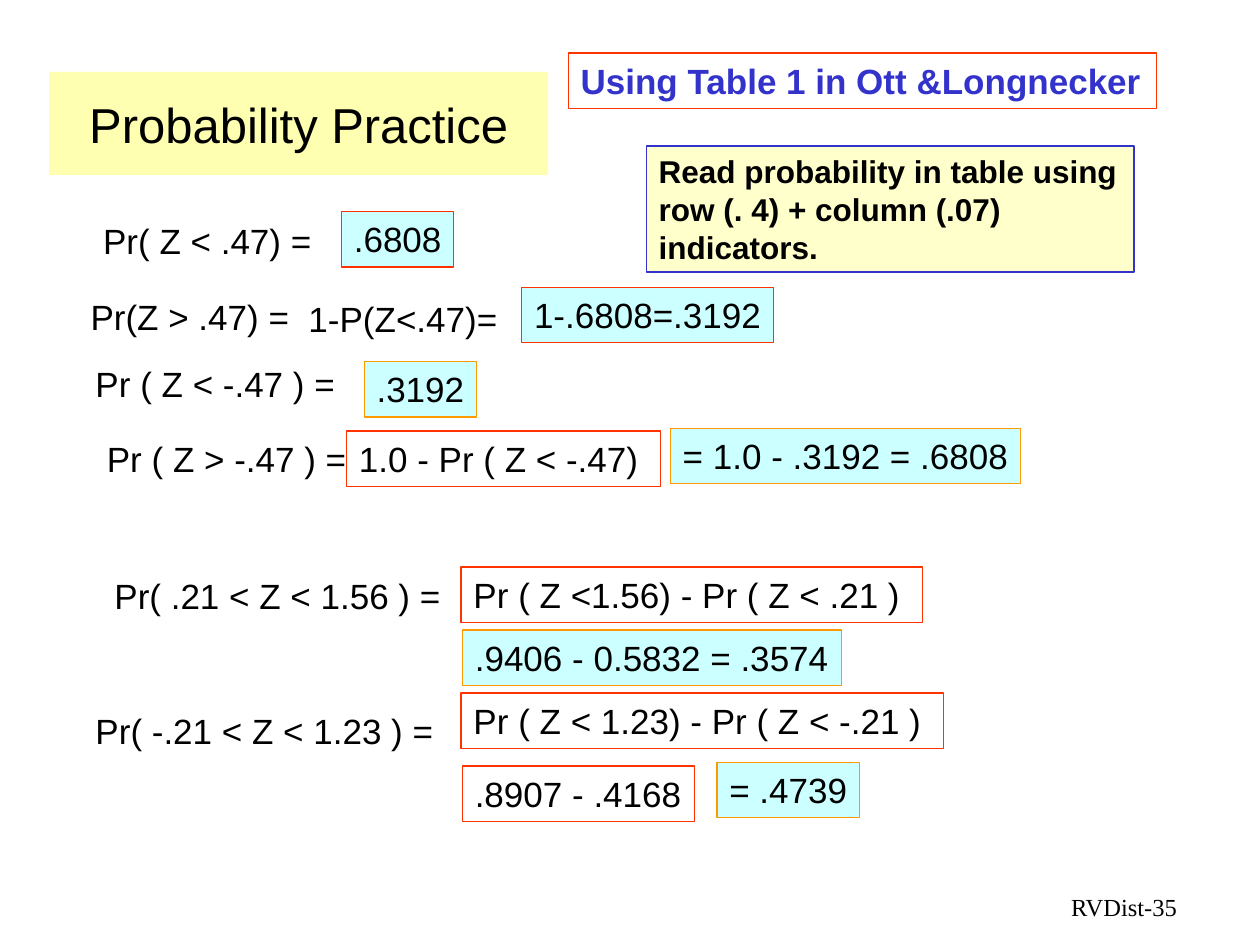
import pptx
import pptx.dml.color
import pptx.enum.shapes
import pptx.enum.text
import pptx.oxml
import pptx.oxml.ns
import pptx.util
from pptx.util import Inches

COLORS = {
    "black": "000000", "blue": "3333CC", "red": "FF3300", "orange": "FF9900",
    "cyan": "CCFFFF", "cream": "FFFFCC", "yellow": "FFFF66",
}
TITLE = "Probability Practice"
TITLE_PLACE = (0.39, 0.57, 3.96, 0.82)
ROW_HEIGHT = 0.44
TIGHT_MARGIN = 0.02  # right margin that keeps a formula on one line

# Box styles: (fill, outline)
STYLES = {
    "plain": (None, None),
    "step": (None, "red"),
    "result": ("cyan", "red"),
    "answer": ("cyan", "orange"),
}

# Formulas: text, left, top, width, style
FORMULAS = [
    ("Pr(Z > .47) =", 0.62, 2.3, 1.78, "plain"),
    ("Pr( Z < .47) =", 0.72, 1.69, 1.85, "plain"),
    ("Pr ( Z < -.47 ) =", 0.66, 2.83, 2.1, "plain"),
    ("Pr ( Z > -.47 ) =", 0.75, 3.42, 2.1, "plain"),
    ("1-.6808=.3192", 4.14, 2.28, 2, "result"),
    (".6808", 2.71, 1.68, 0.89, "result"),
    ("1.0 - Pr ( Z < -.47)", 2.75, 3.42, 2.49, "step"),
    ("Pr( .21 < Z < 1.56 ) =", 0.81, 4.51, 2.87, "plain"),
    ("Pr ( Z <1.56) - Pr ( Z < .21 )", 3.66, 4.5, 3.66, "step"),
    (".9406 - 0.5832 = .3574", 3.67, 5, 3.01, "answer"),
    ("= 1.0 - .3192 = .6808", 5.32, 3.4, 2.78, "answer"),
    (".3192", 2.89, 2.87, 0.89, "answer"),
    ("Pr( -.21 < Z < 1.23 ) =", 0.66, 5.58, 2.96, "plain"),
    ("Pr ( Z < 1.23) - Pr ( Z < -.21 )", 3.66, 5.5, 3.83, "step"),
    (".8907 - .4168", 3.67, 6.08, 1.84, "step"),
    ("= .4739", 5.69, 6.05, 1.13, "answer"),
    ("1-P(Z<.47)=", 2.35, 2.31, 1.7, "plain"),
]
TABLE_HINT = "Using Table 1 in Ott &Longnecker"
READING_HINT = "Read probability in table using row (. 4) + column (.07) indicators."
PAGE_LABEL = "RVDist-35"


def rgb(name):
    return pptx.dml.color.RGBColor.from_string(COLORS[name])


def write(shape, text, size=20, color="black", bold=False, name="Arial", align="LEFT"):
    para = shape.text_frame.paragraphs[0]
    para.alignment = getattr(pptx.enum.text.PP_ALIGN, align)
    span = para.add_run()
    span.text = text
    for key, value in {"size": pptx.util.Pt(size), "bold": bold, "name": name}.items():
        setattr(span.font, key, value)
    span.font.color.rgb = rgb(color)


def add_box(page, place, text, fill=None, outline=None, margin_right=TIGHT_MARGIN, **font):
    place = [Inches(value) for value in place]
    if outline:
        box = page.shapes.add_shape(pptx.enum.shapes.MSO_SHAPE.RECTANGLE, *place)
        box.shadow.inherit = False
        box.line.color.rgb = rgb(outline)
        box.line.width = pptx.util.Pt(0.75)
        if fill:
            box.fill.solid()
            box.fill.fore_color.rgb = rgb(fill)
        else:
            box.fill.background()
    else:
        box = page.shapes.add_textbox(*place)
    frame_format = {
        "word_wrap": True,
        "auto_size": pptx.enum.text.MSO_AUTO_SIZE.NONE,
        "vertical_anchor": pptx.enum.text.MSO_ANCHOR.TOP,
        "margin_right": Inches(margin_right),
    }
    for key, value in frame_format.items():
        setattr(box.text_frame, key, value)
    write(box, text, **font)


def add_title(page):
    title = page.shapes.title
    for key, value in zip(("left", "top", "width", "height"), TITLE_PLACE):
        setattr(title, key, Inches(value))
    title.fill.solid()
    title.fill.fore_color.rgb = rgb("yellow")
    # Half-transparent fill
    tint = title.fill._xPr.find(".//" + pptx.oxml.ns.qn("a:srgbClr"))
    tint.append(pptx.oxml.parse_xml(
        f'<a:alpha {pptx.oxml.ns.nsdecls("a")} val="50000"/>'))
    title.text_frame.auto_size = pptx.enum.text.MSO_AUTO_SIZE.NONE
    title.text_frame.vertical_anchor = pptx.enum.text.MSO_ANCHOR.MIDDLE
    write(title, TITLE, size=28, align="CENTER")


def main():
    deck = pptx.Presentation()
    deck.slide_width, deck.slide_height = Inches(10), Inches(7.5)
    page = deck.slides.add_slide(deck.slide_layouts[5])
    add_title(page)

    # Formulas and their worked answers
    for text, left, top, width, style in FORMULAS:
        add_box(page, (left, top, width, ROW_HEIGHT), text, *STYLES[style])

    # Hints on the table
    add_box(page, (4.51, 0.42, 4.67, ROW_HEIGHT), TABLE_HINT, outline="red",
            color="blue", bold=True)
    add_box(page, (5.13, 1.16, 3.87, 1), READING_HINT, "cream", "blue",
            margin_right=0.1, size=18, bold=True)

    # Page label
    add_box(page, (7.17, 7.03, 2.27, 0.3), PAGE_LABEL, margin_right=0.1,
            size=14, name="Times New Roman", align="RIGHT")
    deck.save("out.pptx")


if __name__ == "__main__":
    main()
